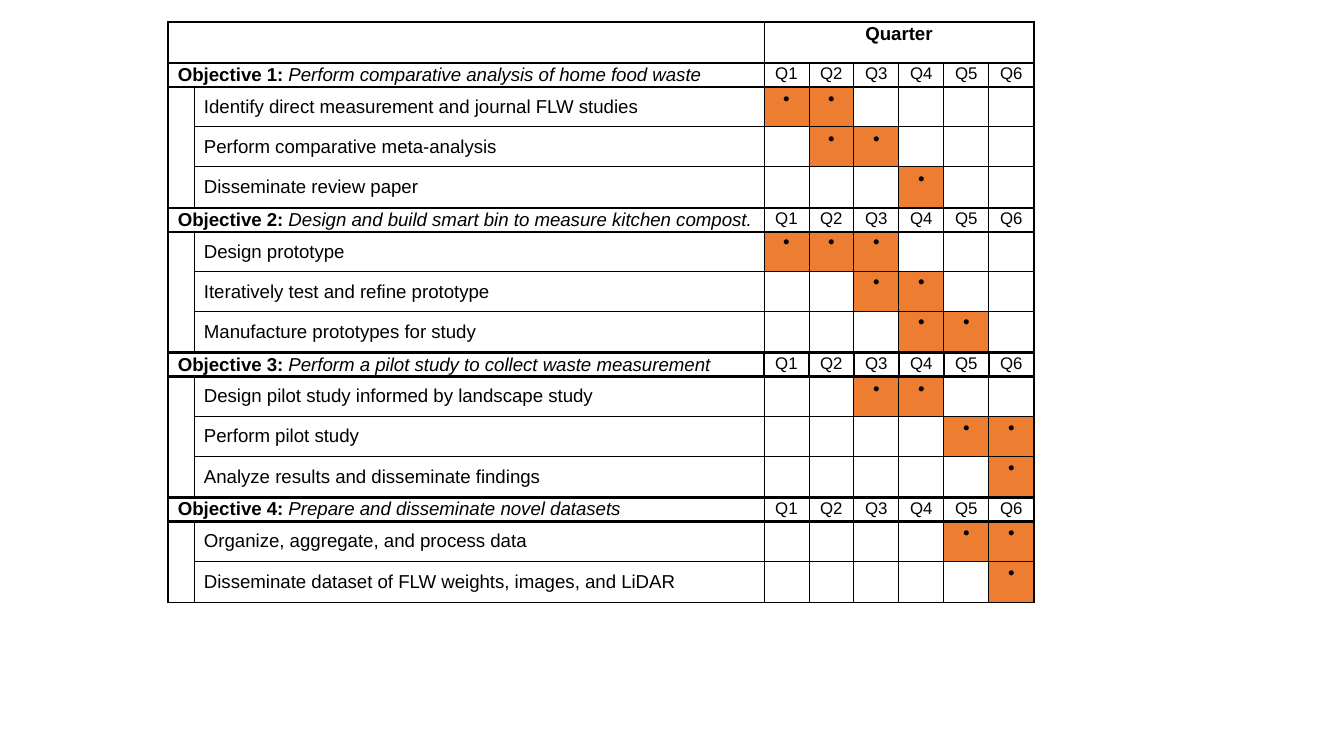
from lxml import etree
from pptx import Presentation
from pptx.dml.color import RGBColor
from pptx.enum.text import MSO_ANCHOR, PP_ALIGN
from pptx.oxml.ns import qn
from pptx.util import Emu, Pt

CENTER, LEFT = PP_ALIGN.CENTER, PP_ALIGN.LEFT
TOP, MIDDLE = MSO_ANCHOR.TOP, MSO_ANCHOR.MIDDLE
BLACK = RGBColor(0x00, 0x00, 0x00)
WHITE = RGBColor(0xFF, 0xFF, 0xFF)
ORANGE = RGBColor(0xED, 0x7D, 0x31)

QUARTERS = ["Q1", "Q2", "Q3", "Q4", "Q5", "Q6"]
OBJECTIVES = [
    {"goal": "Perform comparative analysis of home food waste", "tasks": [
        ("Identify direct measurement and journal FLW studies", (1, 2)),
        ("Perform comparative meta-analysis", (2, 3)),
        ("Disseminate review paper", (4,))]},
    {"goal": "Design and build smart bin to measure kitchen compost.", "dot_spacing": 1.0, "tasks": [
        ("Design prototype", (1, 2, 3)),
        ("Iteratively test and refine prototype", (3, 4)),
        ("Manufacture prototypes for study", (4, 5))]},
    {"goal": "Perform a pilot study to collect waste measurement", "divider": 1, "tasks": [
        ("Design pilot study informed by landscape study", (3, 4)),
        ("Perform pilot study", (5, 6)),
        ("Analyze results and disseminate findings", (6,))]},
    {"goal": "Prepare and disseminate novel datasets", "tasks": [
        ("Organize, aggregate, and process data", (5, 6)),
        ("Disseminate dataset of FLW weights, images, and LiDAR", (6,))]},
]

PAGE_WIDTH, PAGE_HEIGHT = 1344, 756
TABLE_LEFT, TABLE_TOP = 168, 22
COLUMN_WIDTHS = [26, 570] + [45] * len(QUARTERS)
HEADER_HEIGHT, OBJECTIVE_HEIGHT, TASK_HEIGHT, LAST_TASK_HEIGHT = 41, 24, 40, 41
SIDE_MARGIN = 10
THIN, THICK = 0.5, 1.5
FIRST_QUARTER = 2
LAST_COLUMN = len(COLUMN_WIDTHS) - 1


def px(value):
    return Emu(round(value * 914400 / 134.4))


def write(cell, *parts, size=10, align=LEFT, anchor=TOP, spacing=1.08, after=8):
    cell.vertical_anchor = anchor
    para = cell.text_frame.paragraphs[0]
    para.alignment = align
    para.line_spacing = spacing
    para.space_after = Pt(after)
    for text, bold, italic in parts:
        span = para.add_run()
        span.text = text
        span.font.name = "Arial"
        span.font.size = Pt(size)
        span.font.bold = bold
        span.font.italic = italic
        span.font.color.rgb = BLACK


def plain(text):
    return text, False, False


def outline(cell, left, top, right, bottom, fill=WHITE):
    properties = cell._tc.get_or_add_tcPr()
    for side, width in zip("LRTB", (left, right, top, bottom)):
        line = etree.SubElement(properties, qn(f"a:ln{side}"), w=str(Pt(width)))
        solid = etree.SubElement(line, qn("a:solidFill"))
        etree.SubElement(solid, qn("a:srgbClr"), val=str(BLACK))
    cell.fill.solid()
    cell.fill.fore_color.rgb = fill
    cell.margin_left = cell.margin_right = px(SIDE_MARGIN)
    cell.margin_top = cell.margin_bottom = 0


def merge(grid, first, last, *widths):
    for row in range(first[0], last[0] + 1):
        for column in range(first[1], last[1] + 1):
            outline(grid.cell(row, column), *widths)
    grid.cell(*first).merge(grid.cell(*last))


def quarter_cell(grid, row, column, top, bottom, divider=THIN, fill=WHITE):
    cell = grid.cell(row, column)
    right = THICK if column == LAST_COLUMN else divider
    outline(cell, divider, top, right, bottom, fill)
    return cell


def add_objective(grid, row, number, objective):
    tasks = objective["tasks"]
    divider = objective.get("divider", THIN)
    end = THIN if number == len(OBJECTIVES) else THICK
    merge(grid, (row, 0), (row, 1), THICK, THICK, divider, THICK)
    write(grid.cell(row, 0), (f"Objective {number}: ", True, False), (objective["goal"], False, True))
    for column, quarter in enumerate(QUARTERS, FIRST_QUARTER):
        cell = quarter_cell(grid, row, column, THICK, THICK, divider)
        write(cell, plain(quarter), size=9, align=CENTER)

    merge(grid, (row + 1, 0), (row + len(tasks), 0), THICK, THICK, THIN, end)
    for index, (task, active) in enumerate(tasks, 1):
        top = THICK if index == 1 else THIN
        bottom = end if index == len(tasks) else THIN
        label = grid.cell(row + index, 1)
        outline(label, THIN, top, THIN, bottom)
        write(label, plain(task), anchor=MIDDLE, spacing=1.0, after=0)
        for quarter in range(1, len(QUARTERS) + 1):
            busy = quarter in active
            cell = quarter_cell(grid, row + index, quarter + FIRST_QUARTER - 1, top, bottom,
                                fill=ORANGE if busy else WHITE)
            if busy:
                write(cell, plain("•"), align=CENTER, spacing=objective.get("dot_spacing", 1.08))


def shrink_empty_cells(grid):
    for cell in grid.iter_cells():
        para = cell.text_frame.paragraphs[0]
        if not para.runs:
            etree.SubElement(para._p, qn("a:endParaRPr"), sz="1000")


def main():
    deck = Presentation()
    deck.slide_width, deck.slide_height = px(PAGE_WIDTH), px(PAGE_HEIGHT)
    page = deck.slides.add_slide(deck.slide_layouts[6])

    heights = [HEADER_HEIGHT]
    for objective in OBJECTIVES:
        heights += [OBJECTIVE_HEIGHT] + [TASK_HEIGHT] * (len(objective["tasks"]) - 1) + [LAST_TASK_HEIGHT]
    frame = page.shapes.add_table(len(heights), len(COLUMN_WIDTHS), px(TABLE_LEFT), px(TABLE_TOP),
                                  px(sum(COLUMN_WIDTHS)), px(sum(heights)))
    grid = frame.table
    grid.first_row = grid.horz_banding = False
    for column, width in zip(grid.columns, COLUMN_WIDTHS):
        column.width = px(width)
    for row, height in zip(grid.rows, heights):
        row.height = px(height)

    merge(grid, (0, 0), (0, 1), THICK, THICK, THIN, THICK)
    merge(grid, (0, FIRST_QUARTER), (0, LAST_COLUMN), THIN, THICK, THICK, THICK)
    write(grid.cell(0, FIRST_QUARTER), ("Quarter", True, False), align=CENTER)

    row = 1
    for number, objective in enumerate(OBJECTIVES, 1):
        add_objective(grid, row, number, objective)
        row += 1 + len(objective["tasks"])
    shrink_empty_cells(grid)
    deck.save("out.pptx")


if __name__ == "__main__":
    main()
